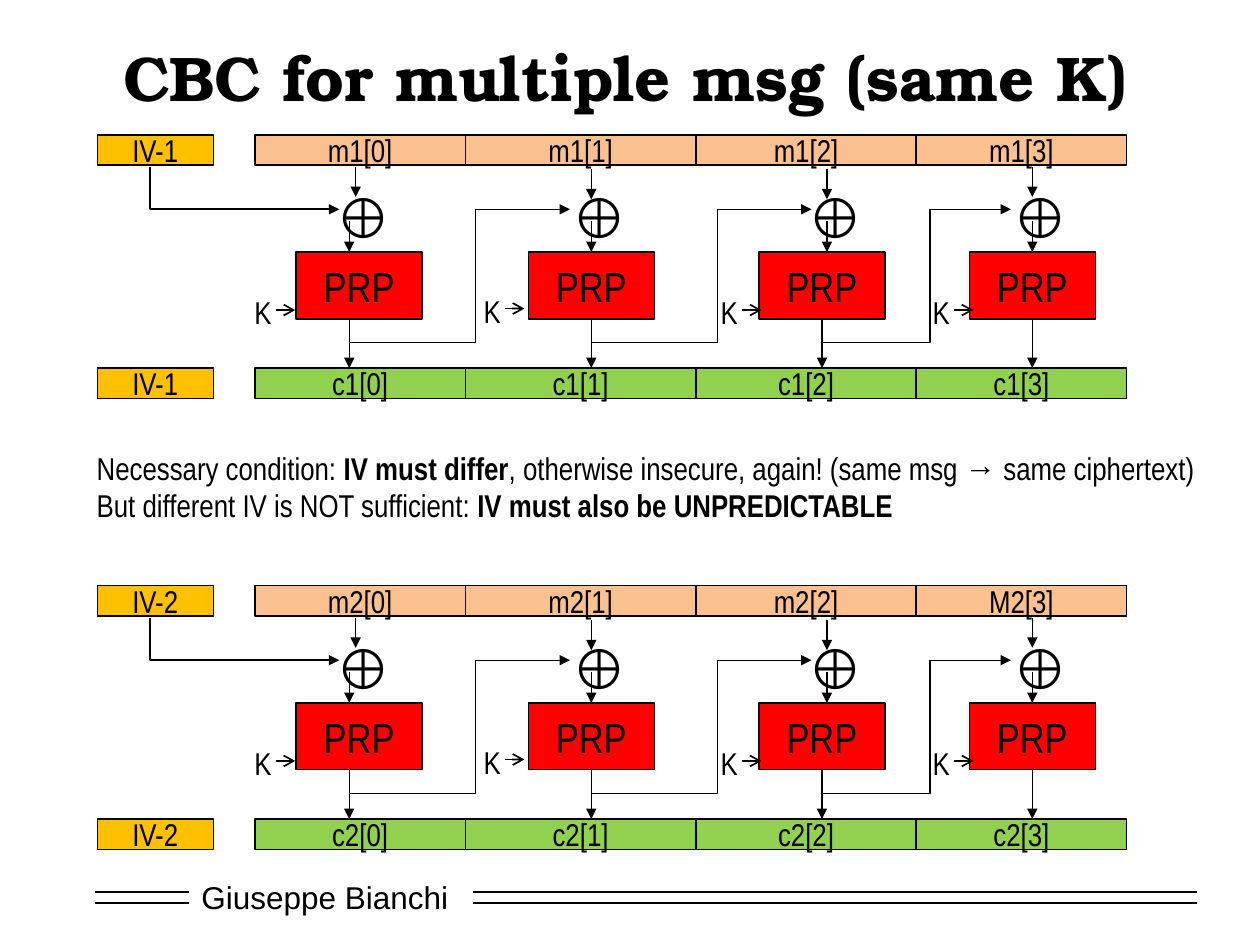
from dataclasses import dataclass
from itertools import pairwise

from lxml.etree import SubElement
from pptx import Presentation
from pptx.dml.color import RGBColor
from pptx.enum.shapes import MSO_CONNECTOR, MSO_SHAPE
from pptx.enum.text import MSO_ANCHOR, MSO_AUTO_SIZE, PP_ALIGN
from pptx.oxml.ns import qn
from pptx.util import Cm, Pt


@dataclass(frozen=True)
class Theme:
    ink: str = "000000"
    paper: str = "FFFFFF"
    iv: str = "FFC000"
    plain: str = "FAC090"
    cipher: str = "92D050"
    prp: str = "FF0000"
    head: str = "TeX Gyre Bonum"
    body: str = "Arial Narrow"
    foot: str = "Arial"
    title: int = 36
    xor: int = 32
    block: int = 24
    text: int = 18
    thin: float = 0.75
    thick: float = 1


T = Theme()

# Chain grid in cm, relative to the left top corner of the chain
ROW = 0.61
EDGES = (3.18, 7.42, 12.07, 16.51, 20.75)
# One stage: PRP, XOR, message arrow, XOR exit, PRP exit, key, key lift, arrow top
STAGES = (
    (4.01, 4.55, 5.21, 5.08, 5.08, 2.92, 0, 0.64),
    (8.69, 9.32, 9.96, 9.96, 9.96, 7.54, 0.03, 0.69),
    (13.34, 14.07, 14.71, 14.71, 14.61, 12.32, 0, 0.69),
    (17.58, 18.21, 18.85, 18.85, 18.85, 16.59, 0, 0.64),
)
# Feedback: bend and end
LOOPS = ((7.62, 9.53), (12.5, 14.4), (16.79, 18.42))


def apply(item, values):
    for name, value in values.items():
        setattr(item, name, value)


def write(frame, lines, size, face=T.body, align=PP_ALIGN.LEFT, **look):
    """Each line is a list of (text, bold) runs."""
    apply(frame, {"word_wrap": False, **look})
    for i, runs in enumerate(lines):
        para = frame.paragraphs[0] if i == 0 else frame.add_paragraph()
        para.alignment = align
        for text, bold in runs:
            run = para.add_run()
            run.text = text
            apply(run.font, {"name": face, "size": Pt(size), "bold": bold})
            run.font.color.rgb = RGBColor.from_string(T.ink)


def note(shapes, box, lines, size):
    frame = shapes.add_textbox(*map(Cm, box)).text_frame
    write(frame, lines, size, auto_size=MSO_AUTO_SIZE.SHAPE_TO_FIT_TEXT)


def block(shapes, box, text, fill, size=T.text):
    shape = shapes.add_shape(MSO_SHAPE.RECTANGLE, *map(Cm, box))
    shape.shadow.inherit = False
    shape.fill.solid()
    shape.fill.fore_color.rgb = RGBColor.from_string(fill)
    stroke(shape, T.thin)
    write(shape.text_frame, [[(text, False)]], size, align=PP_ALIGN.CENTER,
          vertical_anchor=MSO_ANCHOR.MIDDLE)


def stroke(shape, width, tip=None):
    shape.line.color.rgb = RGBColor.from_string(T.ink)
    shape.line.width = Pt(width)
    if tip:
        SubElement(shape.line._get_or_add_ln(), qn("a:tailEnd"), type=tip)


def line(shapes, start, end, width=T.thin, tip="triangle"):
    link = shapes.add_connector(MSO_CONNECTOR.STRAIGHT, *map(Cm, start + end))
    stroke(link, width, tip)
    SubElement(link._element.spPr, qn("a:effectLst"))


def elbow(shapes, points, width=T.thin):
    first, *rest = [tuple(map(Cm, point)) for point in points]
    pen = shapes.build_freeform(*first)
    pen.add_line_segments(rest, close=False)
    shape = pen.convert_to_shape()
    shape.shadow.inherit = False
    shape.fill.background()
    stroke(shape, width, "triangle")


def heading(slide, box):
    title = slide.shapes.title
    apply(title, dict(zip(("left", "top", "width", "height"), map(Cm, box))))
    write(title.text_frame, [[("CBC for multiple msg (same K)", True)]], T.title,
          T.head, PP_ALIGN.CENTER, word_wrap=True,
          vertical_anchor=MSO_ANCHOR.MIDDLE, auto_size=MSO_AUTO_SIZE.NONE)


def chain(slide, left, top, num, names):
    shapes = slide.shapes.add_group_shape().shapes

    def at(x, y):
        return left + x, top + y

    # Message and cipher rows, each with its IV
    ciphers = [f"c{num}[{i}]" for i in range(4)]
    for y, fill, labels in ((0, T.plain, names), (4.7, T.cipher, ciphers)):
        block(shapes, (*at(0, y), 2.34, ROW), f"IV-{num}", T.iv)
        for (x, end), label in zip(pairwise(EDGES), labels):
            block(shapes, (*at(x, y), end - x, ROW), label, fill)

    # Stages: XOR, PRP, key and the arrows between them
    for prp, xor, entry, mid, out, key, lift, y in STAGES:
        block(shapes, (*at(prp, 2.36), 2.54, 1.35), "PRP", T.prp, T.block)
        note(shapes, (*at(xor, 0.84), 1.4, 1.27), [[("⊕", False)]], T.xor)
        line(shapes, at(entry, y), at(entry, y + 0.61))
        line(shapes, at(mid, 1.73), at(mid, 2.36))
        line(shapes, at(out, 3.71), at(out, 4.7))
        note(shapes, (*at(key, 3.07 - lift), 0.86, 0.79), [[("K", False)]], T.text)
        line(shapes, at(key + 0.68, 3.53 - lift), at(key + 1.07, 3.53 - lift),
             T.thick, "arrow")

    # IV and feedback paths into the XORs
    elbow(shapes, (at(1.07, 0.64), at(1.07, 1.5), at(4.88, 1.5)), T.thick)
    for stage, (bend, end) in zip(STAGES, LOOPS):
        elbow(shapes, (at(stage[4], 4.19), at(bend, 4.19),
                       at(bend, 1.5), at(end, 1.5)))


def footer(slide, left, top):
    shape = slide.shapes.add_shape(
        MSO_SHAPE.RECTANGLE, *map(Cm, (left + 1.9, top, 5.51, 1.02)))
    shape.shadow.inherit = False
    shape.fill.solid()
    shape.fill.fore_color.rgb = RGBColor.from_string(T.paper)
    shape.line.fill.background()
    write(shape.text_frame, [[("Giuseppe Bianchi", False)]], T.text, T.foot,
          vertical_anchor=MSO_ANCHOR.MIDDLE)
    # Double rule on both sides of the name
    for y in (0.4, 0.63):
        for start, end in ((0, 1.9), (7.62, 22.22)):
            line(slide.shapes, (left + start, top + y), (left + end, top + y),
                 T.thick, None)


def main():
    deck = Presentation()
    apply(deck, {"slide_width": Cm(25.4), "slide_height": Cm(19.05)})
    slide = deck.slides.add_slide(deck.slide_layouts[5])
    footer(slide, 1.91, 17.58)
    heading(slide, (1.91, 0.64, 21.39, 1.8))
    chain(slide, 1.96, 2.72, 1, ("m1[0]", "m1[1]", "m1[2]", "m1[3]"))
    chain(slide, 1.96, 11.81, 2, ("m2[0]", "m2[1]", "m2[2]", "M2[3]"))
    note(slide.shapes, (1.7, 8.92, 23.14, 1.8), [
        [("Necessary condition: ", False), ("IV must differ", True),
         (", otherwise insecure, again! (same msg → same ciphertext)", False)],
        [("But different IV is NOT sufficient: ", False),
         ("IV must also be UNPREDICTABLE", True)],
    ], T.text)
    deck.save("out.pptx")


if __name__ == "__main__":
    main()
